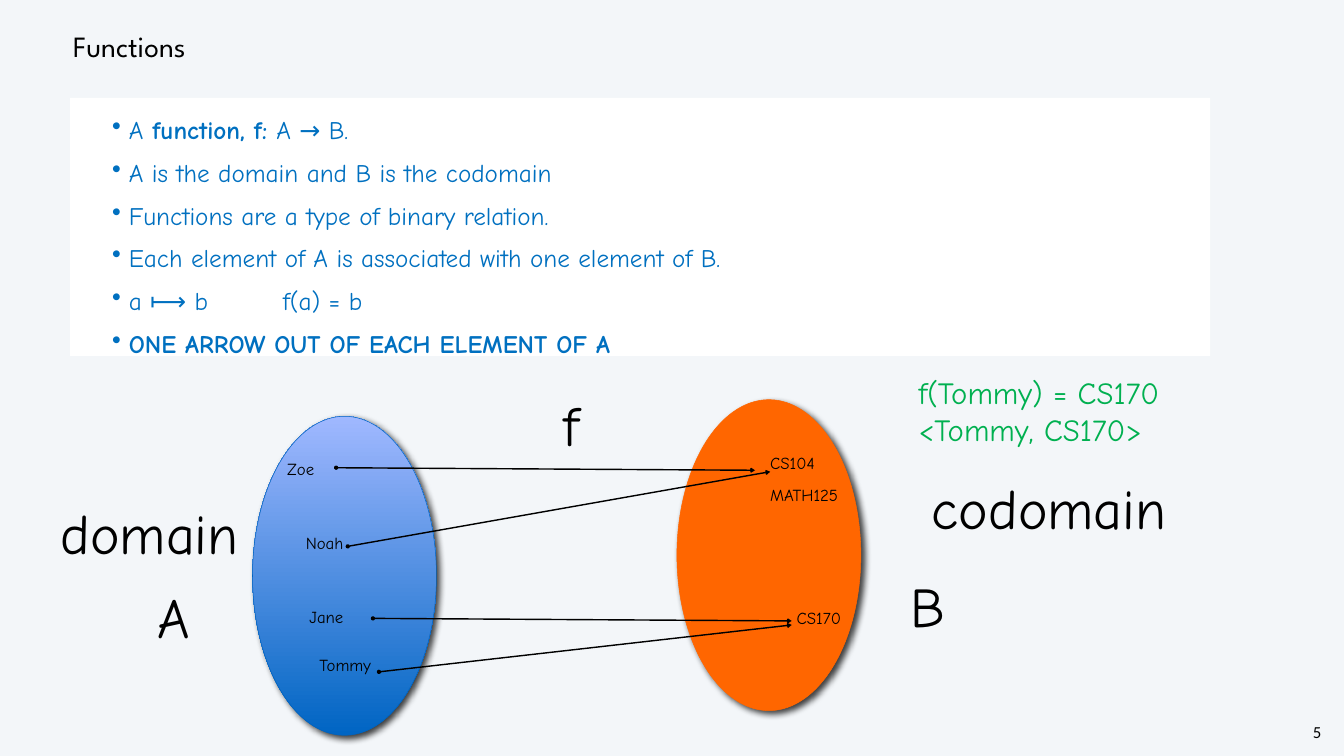
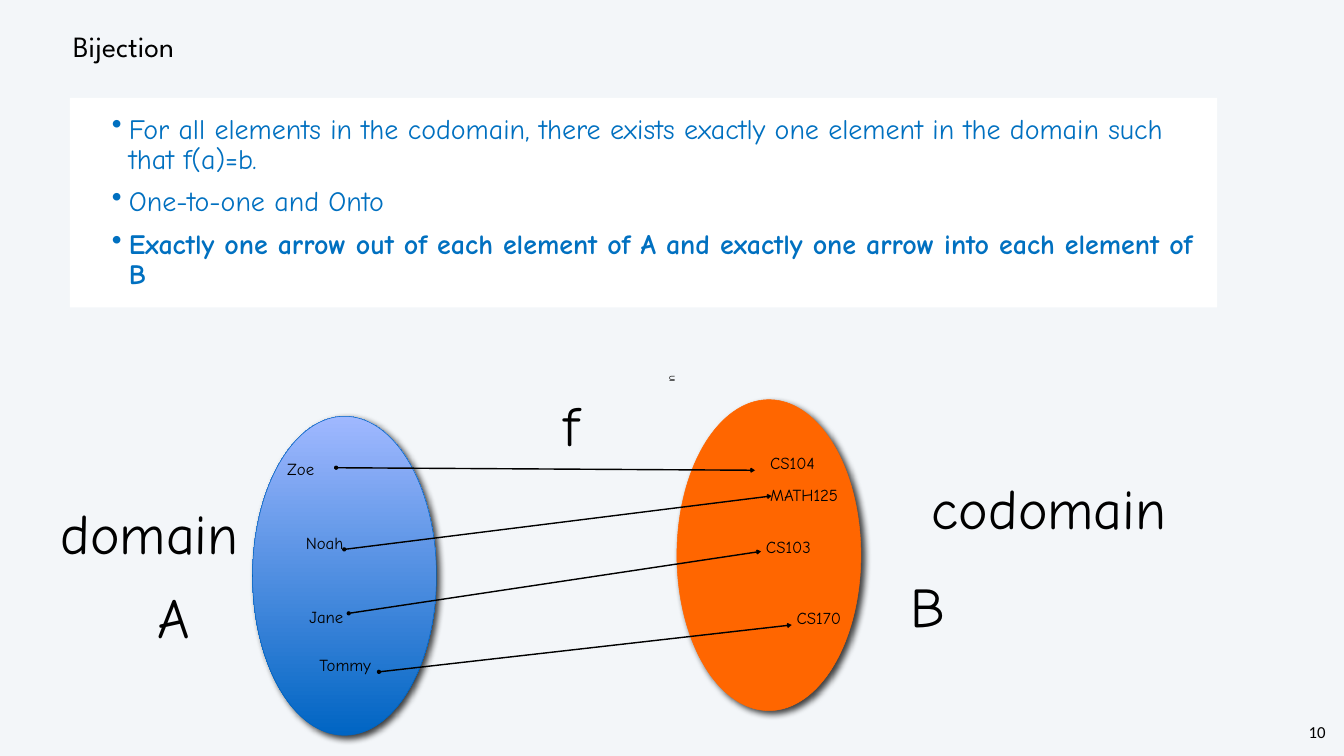
from lxml.etree import SubElement as Sub
from pptx import Presentation
from pptx.dml.color import RGBColor as Rgb
from pptx.enum.shapes import MSO_CONNECTOR as Link, MSO_SHAPE as Form
from pptx.enum.text import MSO_ANCHOR as Anchor, MSO_AUTO_SIZE as Auto, PP_ALIGN as Align
from pptx.oxml.ns import qn
from pptx.util import Pt

PAPER = Rgb(0xF3, 0xF6, 0xF9)
WHITE = Rgb(0xFF, 0xFF, 0xFF)
BLACK = Rgb(0x00, 0x00, 0x00)
BLUE = Rgb(0x00, 0x70, 0xC0)
GREEN = Rgb(0x00, 0xB0, 0x50)
ORANGE = Rgb(0xFF, 0x66, 0x00)
DEEP = Rgb(0x00, 0x65, 0xC3)
PALE = Rgb(0xA0, 0xB8, 0xFF)
RIM = Rgb(0x00, 0x63, 0xBF)

HAND, HEAD, PLAIN = "Comic Neue", "League Spartan", "Calibri"
MARGIN = 100

# Names in the two sets: text, left, top
NAMES = [
    ("Zoe", 403.2, 651.6), ("Noah", 429.8, 757.4),
    ("Jane", 434.9, 862.6), ("Tommy", 449.3, 931.7),
    ("CS104", 1093, 643), ("MATH125", 1093, 689), ("CS170", 1131, 864.7),
]
# Large captions: text, left, top, width
SIGNS = [
    ("A", 218.2, 828.7, 134.6), ("B", 1293, 812.9, 134.6), ("f", 798.5, 553.7, 134.6),
    ("domain", 79.2, 708.5, 437.8), ("codomain", 1324, 672.5, 437.8),
]
# Arrows on both slides: x1, y1, x2, y2
SHARED = [(480.2, 668.2, 1078.6, 671.8), (541.4, 959.8, 1131, 892.8)]


def add_run(para, text, size, color=BLACK, font=HAND, bold=False):
    run = para.add_run()
    run.text = text
    run.font.size = Pt(size)
    run.font.name = font
    run.font.bold = bold
    run.font.color.rgb = color


def add_frame(slide, x, y, w, h, inset=None, wrap=True, grow=True):
    """Add a text box and return it."""
    box = slide.shapes.add_textbox(Pt(x), Pt(y), Pt(w), Pt(h))
    frame = box.text_frame
    frame.word_wrap = wrap
    frame.auto_size = Auto.SHAPE_TO_FIT_TEXT if grow else Auto.NONE
    if inset is not None:
        frame.margin_left = frame.margin_right = Pt(inset)
        frame.margin_top = frame.margin_bottom = Pt(inset)
    return box


def add_label(slide, lines, x, y, w, h, size, color=BLACK, wrap=True):
    frame = add_frame(slide, x, y, w, h, wrap=wrap).text_frame
    for i, line in enumerate(lines):
        para = frame.add_paragraph() if i else frame.paragraphs[0]
        add_run(para, line, size, color)


def add_name(slide, text, x, y):
    add_label(slide, [text], x, y, 124.6, 36, 24)


def add_title(slide, text):
    frame = add_frame(slide, MARGIN, 30.2, 1628.6, 71.3, 4.3, grow=False).text_frame
    frame.vertical_anchor = Anchor.MIDDLE
    para = frame.paragraphs[0]
    para.line_spacing = Pt(50)
    para.space_before = Pt(3)
    add_run(para, text, 42, font=HEAD)


def add_page(slide, number):
    frame = add_frame(slide, 1866.2, 1028.9, 31, 33.8, 2.9, wrap=False).text_frame
    para = frame.paragraphs[0]
    para.alignment = Align.CENTER
    para.line_spacing = Pt(28)
    add_run(para, str(number), 24, font=PLAIN)


def add_list(slide, items, size, w, h):
    """Add the white panel; each item is a list of (text, bold) runs."""
    box = add_frame(slide, MARGIN, 139.7, w, h, 24, grow=False)
    box.fill.solid()
    box.fill.fore_color.rgb = WHITE
    frame = box.text_frame
    for i, item in enumerate(items):
        para = frame.add_paragraph() if i else frame.paragraphs[0]
        para.level = 1
        para.line_spacing = Pt(43)
        para.space_before = Pt(18)
        props = para._p.get_or_add_pPr()
        props.set("marL", str(Pt(60)))
        props.set("indent", str(Pt(-24)))
        Sub(props, qn("a:buSzPct"), val="104000")
        Sub(props, qn("a:buChar"), char="•")
        if any("\t" in text for text, bold in item):
            tabs = Sub(props, qn("a:tabLst"))
            Sub(tabs, qn("a:tab"), pos=str(Pt(280)), algn="l")
        for text, bold in item:
            add_run(para, text, size, BLUE, bold=bold)


def add_oval(slide, x, y, w, h, rim):
    """Add an ellipse with a soft shadow and return it, still to be filled."""
    oval = slide.shapes.add_shape(Form.OVAL, Pt(x), Pt(y), Pt(w), Pt(h))
    oval.line.color.rgb = rim
    oval.line.width = Pt(0.75)
    oval.shadow.inherit = False
    glow = Sub(oval.element.spPr.find(qn("a:effectLst")), qn("a:outerShdw"),
               blurRad=str(Pt(10)), dist=str(Pt(6)), dir=str(45 * 60000),
               algn="ctr", rotWithShape="0")
    tint = Sub(glow, qn("a:srgbClr"), val=str(BLACK))
    Sub(tint, qn("a:alpha"), val="75000")
    return oval


def add_sets(slide):
    fill = add_oval(slide, 360.7, 594.7, 262.8, 455.8, RIM).fill
    fill.gradient()
    fill.gradient_angle = 90
    for stop, color in zip(fill.gradient_stops, (DEEP, PALE)):
        stop.color.rgb = color
    fill = add_oval(slide, 967, 571, 262.8, 444.2, ORANGE).fill
    fill.solid()
    fill.fore_color.rgb = ORANGE


def add_arrow(slide, x1, y1, x2, y2):
    arrow = slide.shapes.add_connector(Link.STRAIGHT, Pt(x1), Pt(y1), Pt(x2), Pt(y2))
    arrow.line.color.rgb = BLACK
    arrow.line.width = Pt(2)
    props = arrow.element.spPr
    line = props.find(qn("a:ln"))
    Sub(line, qn("a:headEnd"), type="oval")
    Sub(line, qn("a:tailEnd"), type="arrow")
    Sub(props, qn("a:effectLst"))


def add_map(slide, arrows):
    """Draw both sets, their names and captions, and the arrows between them."""
    add_sets(slide)
    for ends in SHARED + arrows:
        add_arrow(slide, *ends)
    for name in NAMES:
        add_name(slide, *name)
    for text, x, y, w in SIGNS:
        add_label(slide, [text], x, y, w, 104.4, 80)


def add_slide(deck, title, number):
    slide = deck.slides.add_slide(deck.slide_layouts[6])
    slide.background.fill.solid()
    slide.background.fill.fore_color.rgb = PAPER
    add_page(slide, number)
    add_title(slide, title)
    return slide


def main():
    deck = Presentation()
    deck.slide_width, deck.slide_height = Pt(1920), Pt(1080)

    slide = add_slide(deck, "Functions", 5)
    add_list(slide, [
        [("A", False), (" function, f: ", True), ("A → B.", False)],
        [("A is the domain and B is the codomain", False)],
        [("Functions are a type of binary relation.", False)],
        [("Each element of A is associated with one element of B.", False)],
        [("a ⟼ b\tf(a) = b", False)],
        [("ONE ARROW OUT OF EACH ELEMENT OF A", True)],
    ], 36, 1628.6, 368.6)
    add_map(slide, [(496.8, 780.5, 1100.2, 673.9), (532.8, 883.4, 1131, 887)])
    add_label(slide, ["f(Tommy) = CS170", "<Tommy, CS170>"],
              1305.4, 530.6, 614.2, 113.8, 44, GREEN)

    slide = add_slide(deck, "Bijection", 10)
    add_list(slide, [
        [("For all elements in the codomain, there exists exactly one element "
          "in the domain such that f(a)=b.", False)],
        [("One-to-one and Onto", False)],
        [("Exactly one arrow out of each element of A and exactly one arrow "
          "into each element of B", True)],
    ], 40, 1638.7, 299.5)
    add_map(slide, [(491.8, 784.8, 1102.3, 708.5), (498.2, 876.2, 1087.2, 787.7)])
    add_name(slide, "CS103", 1087.2, 762.5)
    add_label(slide, ["⊆"], 948.2, 529.2, 23.8, 21.6, 12, wrap=False)

    deck.save("out.pptx")


if __name__ == "__main__":
    main()
